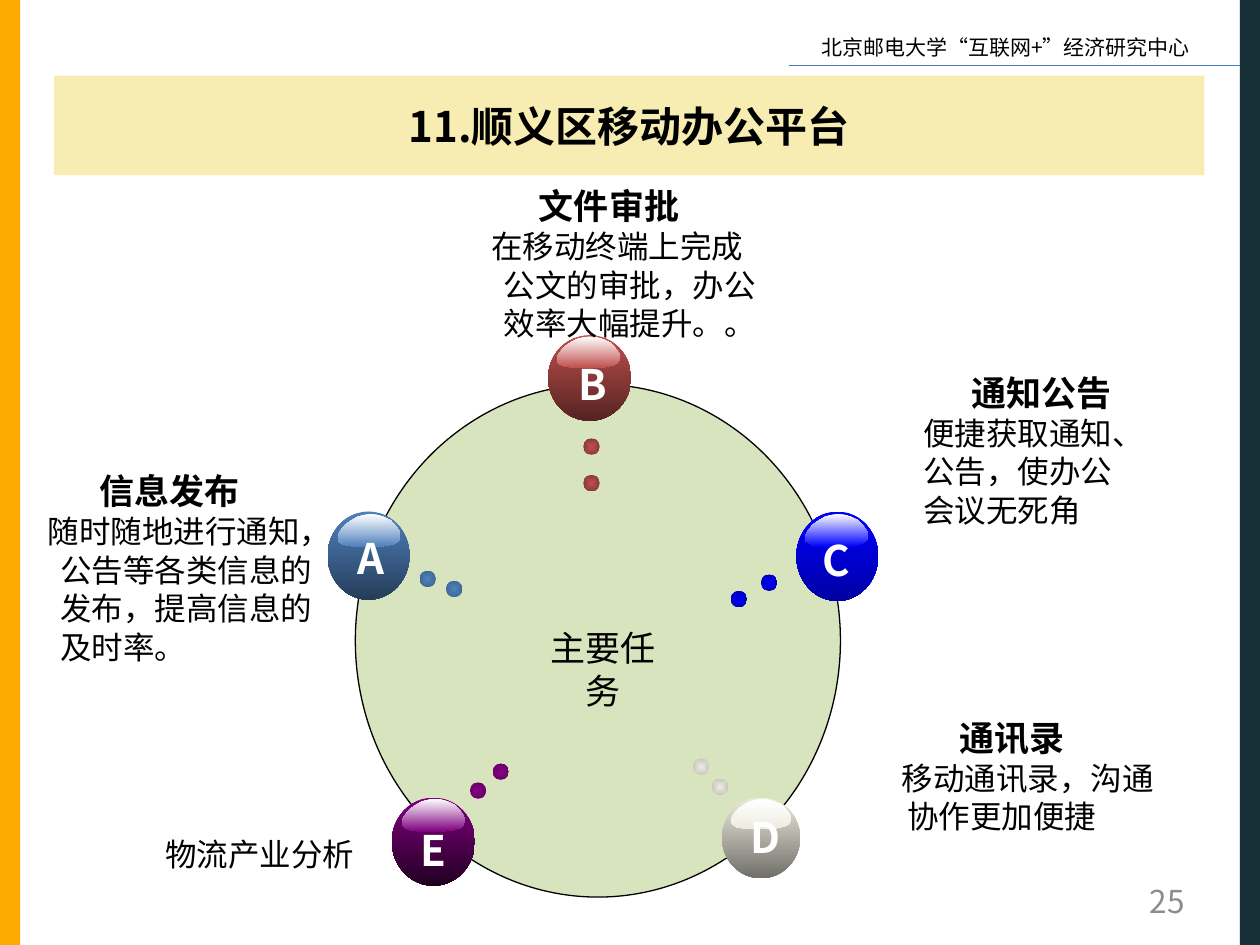
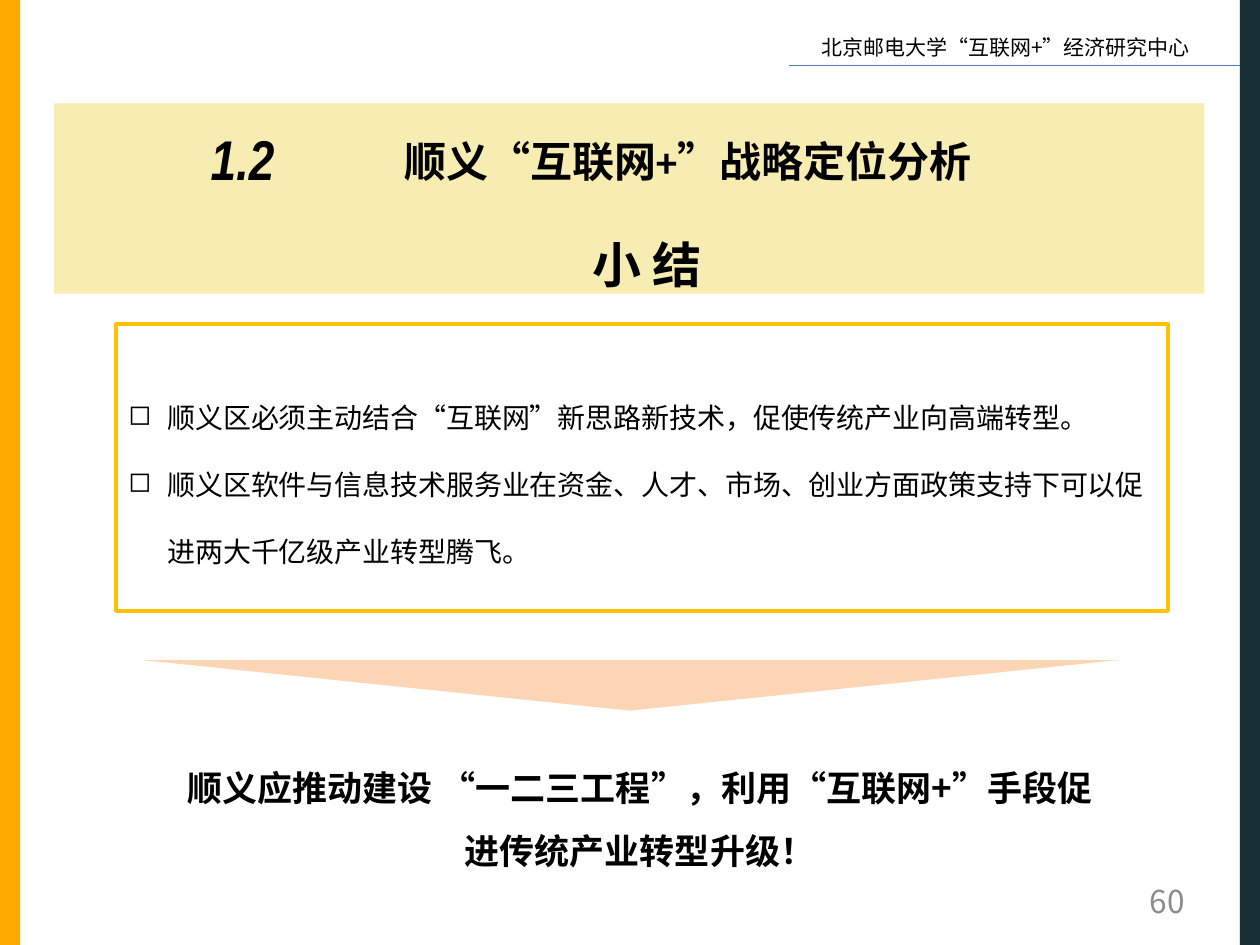
from lxml import etree
from pptx import Presentation
from pptx.dml.color import RGBColor
from pptx.enum.shapes import MSO_CONNECTOR, MSO_SHAPE
from pptx.enum.text import MSO_ANCHOR, PP_ALIGN
from pptx.oxml.ns import qn
from pptx.util import Inches, Pt

RECT, OVAL = MSO_SHAPE.RECTANGLE, MSO_SHAPE.OVAL
LEFT, CENTER, RIGHT = PP_ALIGN.LEFT, PP_ALIGN.CENTER, PP_ALIGN.RIGHT
TOP, MIDDLE, BOTTOM = MSO_ANCHOR.TOP, MSO_ANCHOR.MIDDLE, MSO_ANCHOR.BOTTOM

BLACK = RGBColor(0x00, 0x00, 0x00)
WHITE = RGBColor(0xFF, 0xFF, 0xFF)
GREY = RGBColor(0x8C, 0x8C, 0x8C)
ORANGE = RGBColor(0xFF, 0xAA, 0x00)
NAVY = RGBColor(0x17, 0x2F, 0x37)
RULE_BLUE = RGBColor(0x4B, 0x7E, 0xBC)
BAND_GOLD = RGBColor(0xE9, 0xCD, 0x23)
FRAME_GOLD = RGBColor(0xFF, 0xC0, 0x00)
PEACH = RGBColor(0xFC, 0xD5, 0xB5)
PALE_GREEN = RGBColor(0xD7, 0xE4, 0xBD)

SANS, CALIBRI, NARROW = "Noto Sans CJK SC", "Calibri", "Arial Narrow"
LEADING = 1.22  # line height as a multiple of the text size

# Outline of the gloss on a ball, in percent of its width and height
GLOSS = [(100, 58), (100, 72), (96, 84), (88, 92), (76, 97), (62, 100),
         (36, 100), (22, 98), (10, 94), (4, 87), (0, 80), (0, 68), (4, 52),
         (12, 33), (22, 19), (32, 8), (44, 2), (52, 0), (62, 2), (72, 8),
         (84, 19), (92, 35)]

# letter, ball box, gloss box, letter box, ball colours, dot edge, dots
BALLS = [
    ("B", (4.35, 2.66, 0.66, 0.68), (4.42, 2.67, 0.5, 0.25),
     (4.49, 2.76, 0.41, 0.51), "C0504D", "542322", "883937",
     [(4.63, 3.48), (4.63, 3.77)]),
    ("E", (3.11, 6.33, 0.66, 0.7), (3.19, 6.34, 0.5, 0.26),
     (3.24, 6.46, 0.37, 0.51), "800080", "210021", "6B006B",
     [(3.73, 6.21), (3.91, 6.06)]),
    ("C", (6.32, 4.06, 0.65, 0.71), (6.39, 4.08, 0.5, 0.26),
     (6.43, 4.16, 0.4, 0.51), "0000FF", "0000A3", "0000B3",
     [(6.04, 4.56), (5.8, 4.69)]),
    ("D", (5.73, 6.33, 0.62, 0.64), (5.8, 6.34, 0.48, 0.24),
     (5.85, 6.36, 0.45, 0.51), "EEECE1", "706F69", "C8C6BD",
     [(5.65, 6.18), (5.5, 6.02)]),
    ("A", (2.6, 4.06, 0.65, 0.7), (2.68, 4.08, 0.5, 0.26),
     (2.73, 4.14, 0.43, 0.51), "4F81BD", "253D59", "3E6695",
     [(3.33, 4.53), (3.54, 4.61)]),
]

# box, heading, first-line indent, body paragraphs
TASKS = [
    ((0, 3.67, 2.65, 1.68), "信息发布", -0.1,
     ["随时随地进行通知，公告等各类信息的发布，提高信息的及时率。"]),
    ((3.52, 1.41, 2.58, 1.35), "文件审批", -0.1,
     ["在移动终端上完成公文的审批，办公效率大幅提升。。"]),
    ((6.95, 2.89, 2.58, 1.35), "通知公告", -0.1,
     ["便捷获取通知、", "公告，使办公", "会议无死角"]),
    ((6.72, 5.63, 2.58, 1.04), "通讯录", -0.04,
     ["移动通讯录，沟通协作更加便捷"]),
]

POINTS = [
    "顺义区必须主动结合“互联网”新思路新技术，促使传统产业向高端转型。",
    "顺义区软件与信息技术服务业在资金、人才、市场、创业方面政策支持下"
    "可以促进两大千亿级产业转型腾飞。",
]


class Deck:
    def __init__(self):
        self.prs = Presentation()
        self.prs.slide_width, self.prs.slide_height = Inches(10), Inches(7.5)
        self.s = None

    def slide(self, number):
        """Start a slide with side bands, header, rule and page number."""
        self.s = self.prs.slides.add_slide(self.prs.slide_layouts[6])
        self.shape((0, 0, 0.16, 7.5), fill=ORANGE)
        self.shape((9.84, 0, 0.16, 7.5), fill=NAVY)
        tf = self.text((6.42, 0.22, 3.23, 0.3), right=0)
        self.para(tf, "北京邮电大学“互联网+”经济研究中心", 12)
        self.line((6.26, 0.52), (9.84, 0.52))
        tf = self.text((7.17, 6.95, 2.33, 0.4), anchor=MIDDLE)
        self.para(tf, number, 18, color=GREY, align=RIGHT, leading=None)

    def shape(self, box, kind=RECT, fill=None, line=None, width=0.75):
        sp = self.s.shapes.add_shape(kind, *map(Inches, box))
        return self.paint(sp, fill, line, width)

    def paint(self, sp, fill=None, line=None, width=0.75):
        sp.shadow.inherit = False
        if fill is None:
            sp.fill.background()
        else:
            sp.fill.solid()
            sp.fill.fore_color.rgb = fill
        if line is None:
            sp.line.fill.background()
        else:
            sp.line.color.rgb = line
            sp.line.width = Pt(width)
        return sp

    def gradient(self, sp, first, last, radial=False):
        sp.fill.gradient()
        sp.fill.gradient_angle = 270
        for stop, color in zip(sp.fill.gradient_stops, (first, last)):
            stop.color.rgb = RGBColor.from_string(color)
        if radial:
            lin = sp.element.spPr.find(".//" + qn("a:lin"))
            path = etree.Element(qn("a:path"), path="shape")
            etree.SubElement(path, qn("a:fillToRect"),
                             dict.fromkeys("ltrb", "50000"))
            lin.getparent().replace(lin, path)

    def outline(self, points, fill=None):
        pts = [(Inches(x), Inches(y)) for x, y in points]
        fb = self.s.shapes.build_freeform(*pts[0])
        fb.add_line_segments(pts[1:], close=True)
        return self.paint(fb.convert_to_shape(), fill)

    def line(self, start, end):
        c = self.s.shapes.add_connector(MSO_CONNECTOR.STRAIGHT,
                                        *map(Inches, start + end))
        c.line.color.rgb = RULE_BLUE
        c.line.width = Pt(0.75)
        etree.SubElement(c.element.spPr, qn("a:effectLst"))

    def text(self, box, anchor=TOP, wrap=True, right=0.1):
        sp = self.s.shapes.add_textbox(*map(Inches, box))
        return self.frame(sp, anchor, wrap, right)

    def frame(self, sp, anchor=MIDDLE, wrap=True, right=0.1):
        tf = sp.text_frame
        tf.word_wrap, tf.vertical_anchor = wrap, anchor
        tf.margin_right = Inches(right)
        return tf

    def para(self, tf, text, size, font=SANS, color=BLACK, bold=False,
             italic=False, align=LEFT, leading=LEADING, spacing=None,
             indent=None, bullet=None):
        """Add a paragraph; indent is (left margin, first line)."""
        p = tf.paragraphs[0]
        if p.runs:
            p = tf.add_paragraph()
        p.alignment = align
        if spacing:
            p.line_spacing = spacing
        elif leading:
            p.line_spacing = Pt(round(size * leading, 1))
        pPr = p._p.get_or_add_pPr()
        if indent:
            pPr.set("marL", str(Inches(indent[0])))
            pPr.set("indent", str(Inches(indent[1])))
        if bullet:
            etree.SubElement(pPr, qn("a:buChar"), char=bullet)
        r = p.add_run()
        r.text = text
        f = r.font
        f.size, f.name, f.bold, f.italic = Pt(size), font, bold, italic
        f.color.rgb = color
        etree.SubElement(r._r.get_or_add_rPr(), qn("a:ea"), typeface=SANS)

    def band(self, top, height):
        """Translucent title band; returns its text frame."""
        sp = self.shape((0.43, top, 9.13, height), fill=BAND_GOLD)
        clr = sp.element.spPr.find(".//" + qn("a:srgbClr"))
        etree.SubElement(clr, qn("a:alpha"), val="35000")
        return self.frame(sp)

    def ball(self, letter, box, gloss, label, color, shade, dot_edge, dots):
        self.gradient(self.shape(box, OVAL), color, shade)
        x, y, w, h = gloss
        sp = self.outline([(x + w * u / 100, y + h * v / 100)
                           for u, v in GLOSS])
        self.gradient(sp, "FFFFFF", color)
        tf = self.text(label, wrap=False)
        self.para(tf, letter, 24, color=WHITE, bold=True, align=CENTER,
                  leading=1.3)
        for left, top in dots:
            dot = self.shape((left, top, 0.13, 0.13), OVAL)
            self.gradient(dot, color, dot_edge, radial=True)

    def task(self, box, heading, first, body):
        tf = self.text(box, right=0.05)
        self.para(tf, heading, 20, bold=True, align=CENTER)
        for text in body:
            indent = (0.38, first)
            self.para(tf, text, 18, indent=indent)


def platform_slide(d):
    d.slide("25")
    # Wheel with its five balls
    d.shape((2.82, 3.05, 3.85, 4.07), OVAL, PALE_GREEN, BLACK)
    tf = d.text((4.16, 4.92, 1.25, 0.75))
    d.para(tf, "主要任务", 20, CALIBRI, align=CENTER)
    for ball in BALLS:
        d.ball(*ball)
    # Task notes around the wheel
    for task in TASKS:
        d.task(*task)
    tf = d.text((1.15, 6.57, 1.82, 0.41))
    d.para(tf, "物流产业分析", 18, align=CENTER)
    # Title
    d.para(d.band(0.6, 0.79), "11.顺义区移动办公平台", 24, bold=True,
           align=CENTER, leading=None)


def summary_slide(d):
    d.slide("60")
    # Title band with section number, title and subtitle
    tf = d.band(0.82, 1.51)
    tf.vertical_anchor = BOTTOM
    tf.margin_bottom, tf.margin_left = 0, Inches(0.38)
    d.para(tf, "小 结", 28, bold=True, align=CENTER)
    tf = d.text((1.05, 1.04, 1.75, 0.53))
    d.para(tf, "1.2", 32, NARROW, bold=True, italic=True, align=CENTER,
           spacing=0.8)
    tf = d.text((3.11, 0.99, 5.51, 0.5))
    d.para(tf, "顺义“互联网+”战略定位分析", 24, CALIBRI, bold=True, leading=1.3)
    # Framed findings
    tf = d.frame(d.shape((0.92, 2.57, 8.35, 2.28), line=FRAME_GOLD, width=2))
    for point in POINTS:
        d.para(tf, point, 16, leading=2 * 1.2, indent=(0.31, -0.31),
               bullet="◻")
    # Wedge leading to the conclusion
    d.outline([(1.14, 5.24), (5, 5.64), (8.86, 5.24)], PEACH)
    tf = d.text((1.3, 5.87, 7.56, 1.11))
    d.para(tf, "顺义应推动建设 “一二三工程”，利用“互联网+”手段促进传统产业转型升级！",
           20, bold=True, align=CENTER, leading=1.5 * 1.2)


def main():
    d = Deck()
    platform_slide(d)
    summary_slide(d)
    d.prs.save("out.pptx")


if __name__ == "__main__":
    main()
